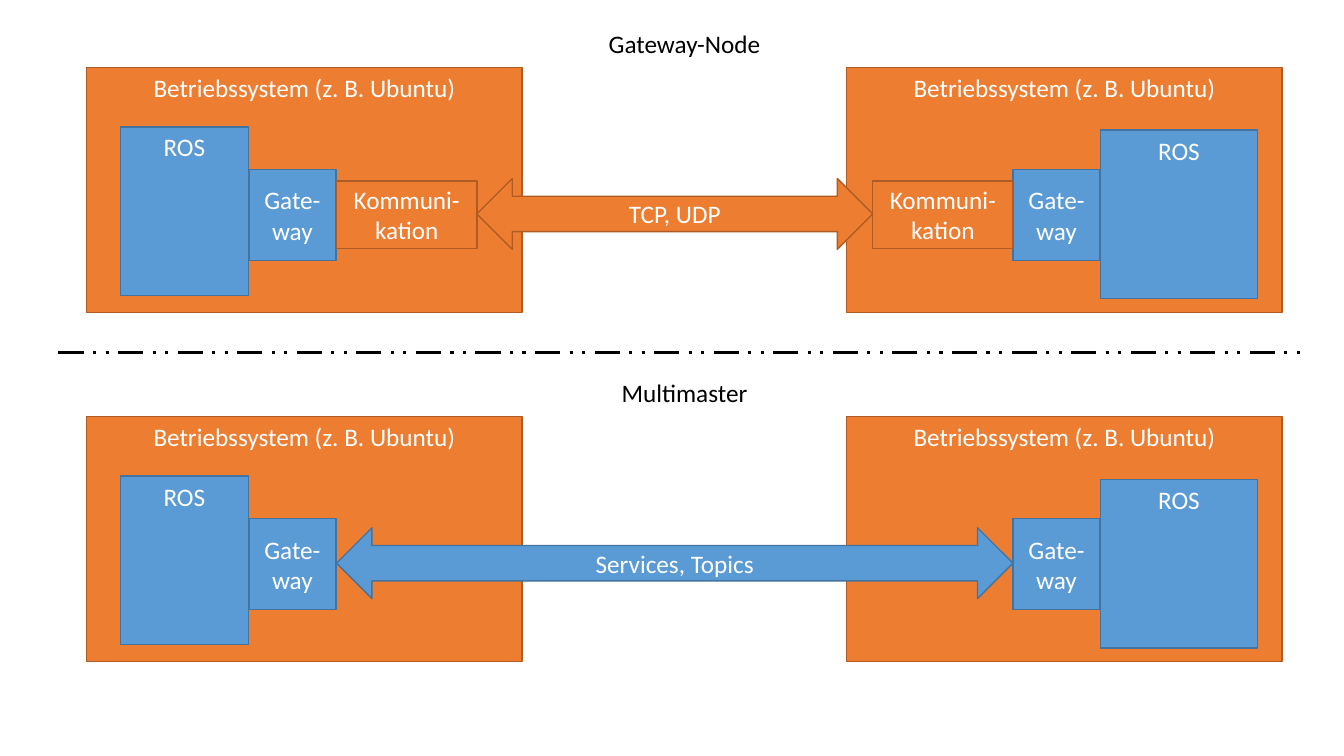
from lxml import etree
from pptx import Presentation
from pptx.dml.color import RGBColor
from pptx.enum.dml import MSO_LINE
from pptx.enum.shapes import MSO_CONNECTOR, MSO_SHAPE
from pptx.enum.text import MSO_ANCHOR, PP_ALIGN
from pptx.oxml.ns import qn
from pptx.util import Pt

RECTANGLE = MSO_SHAPE.RECTANGLE
DOUBLE_ARROW = MSO_SHAPE.LEFT_RIGHT_ARROW
STRAIGHT = MSO_CONNECTOR.STRAIGHT
DASH_DOT_DOT = MSO_LINE.DASH_DOT_DOT
TOP = MSO_ANCHOR.TOP
MIDDLE = MSO_ANCHOR.MIDDLE
CENTER = PP_ALIGN.CENTER

COLORS = {
    "orange": "ED7D31",
    "orange_line": "AF5C24",
    "blue": "5B9BD5",
    "blue_line": "43739E",
    "white": "FFFFFF",
    "black": "000000",
}
SECTION_STEP = 249.5


def color(name):
    return RGBColor.from_string(COLORS[name])


def write_text(frame, text, *, anchor=MIDDLE, text_color="white", size=18):
    frame.word_wrap = True
    frame.vertical_anchor = anchor
    para = frame.paragraphs[0]
    para.alignment = CENTER
    span = para.add_run()
    span.text = text
    span.font.name = "Calibri"
    span.font.size = Pt(size)
    span.font.color.rgb = color(text_color)


def add_block(page, text, left, top, width, height, fill, *, kind=RECTANGLE, anchor=MIDDLE):
    block = page.shapes.add_shape(kind, Pt(left), Pt(top), Pt(width), Pt(height))
    block.shadow.inherit = False
    block.fill.solid()
    block.fill.fore_color.rgb = color(fill)
    block.line.color.rgb = color(fill + "_line")
    block.line.width = Pt(1)
    write_text(block.text_frame, text, anchor=anchor)


def add_title(page, text, top):
    box = page.shapes.add_textbox(Pt(373), Pt(top), Pt(231.8), Pt(29))
    write_text(box.text_frame, text, text_color="black")


def add_divider(page, top):
    divider = page.shapes.add_connector(STRAIGHT, Pt(41.8), Pt(top), Pt(933), Pt(top))
    divider.line.color.rgb = color("black")
    divider.line.width = Pt(2.25)
    divider.line.dash_style = DASH_DOT_DOT
    etree.SubElement(divider._element.spPr, qn("a:effectLst"))


def add_systems(page, offset):
    for left in (61.9, 604.8):
        add_block(page, "Betriebssystem (z. B. Ubuntu)", left, offset + 48.2, 311, 175,
                  "orange", anchor=TOP)
    for left, top, width in ((85.9, 90.6, 91.7), (786.2, 92.8, 111.9)):
        add_block(page, "ROS", left, offset + top, width, 120.5, "blue", anchor=TOP)
    for left in (177.8, 723.6):
        add_block(page, "Gate-way", left, offset + 121, 62.2, 65, "blue")


def add_communication(page):
    for left in (240.4, 623.4):
        add_block(page, "Kommuni-kation", left, 129.2, 100.2, 48.2, "orange")


def add_link(page, text, left, right, offset, fill):
    add_block(page, text, left, offset + 127.5, right - left, 50.6, fill, kind=DOUBLE_ARROW)


def main():
    deck = Presentation()
    deck.slide_width = Pt(960)
    deck.slide_height = Pt(540)
    page = deck.slides.add_slide(deck.slide_layouts[6])

    add_systems(page, 0)
    add_communication(page)
    add_title(page, "Gateway-Node", 16.6)
    add_link(page, "TCP, UDP", 340.6, 623.4, 0, "orange")

    add_divider(page, 252)

    add_systems(page, SECTION_STEP)
    add_title(page, "Multimaster", SECTION_STEP + 16.6)
    add_link(page, "Services, Topics", 240.4, 723.6, SECTION_STEP, "blue")

    deck.save("out.pptx")


if __name__ == "__main__":
    main()
